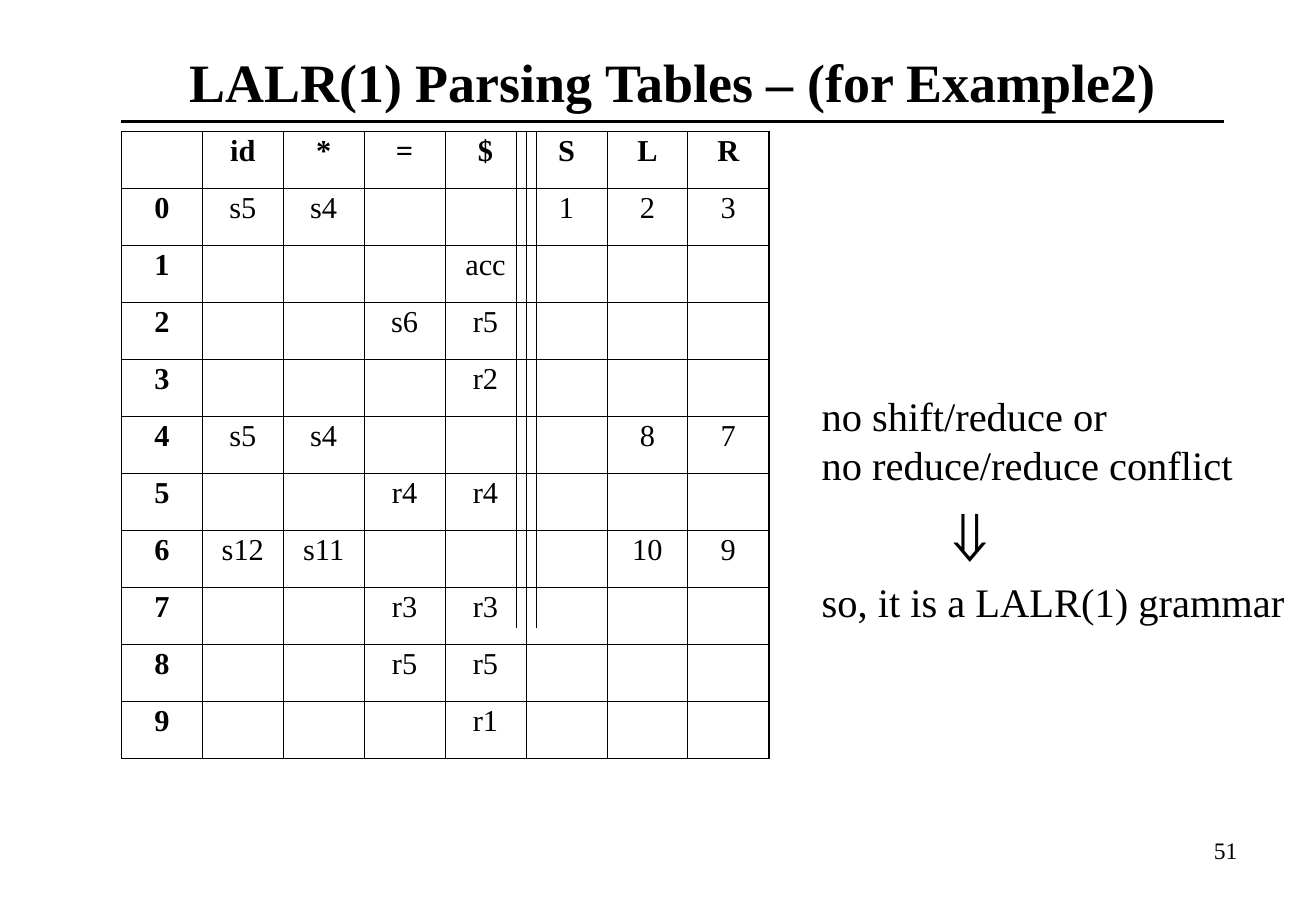
from lxml import etree
from pptx import Presentation
from pptx import util as u
from pptx.dml.color import RGBColor
from pptx.enum import shapes, text
from pptx.oxml.ns import qn

BLACK = "000000"
SERIF = "Times New Roman"
ALIGN = text.PP_ALIGN

HEADER = ["", "id", "*", "=", "$", "S", "L", "R"]
# Entries of each state, by column heading
STATES = [
    {"id": "s5", "*": "s4", "S": "1", "L": "2", "R": "3"},
    {"$": "acc"},
    {"=": "s6", "$": "r5"},
    {"$": "r2"},
    {"id": "s5", "*": "s4", "L": "8", "R": "7"},
    {"=": "r4", "$": "r4"},
    {"id": "s12", "*": "s11", "L": "10", "R": "9"},
    {"=": "r3", "$": "r3"},
    {"=": "r5", "$": "r5"},
    {"$": "r1"},
]
COLUMN_WIDTH, ROW_HEIGHT = 48, 33.8
OUTER_LINE, INNER_LINE = 1.08, 0.45


def colour(value):
    return RGBColor.from_string(value)


def write(paragraph, content, size=24, font=SERIF, bold=False, align=ALIGN.LEFT):
    paragraph.alignment = align
    run = paragraph.add_run()
    run.text = content
    run.font.name = font
    run.font.size = u.Pt(size)
    run.font.bold = bold
    run.font.color.rgb = colour(BLACK)


def add_tab_stop(paragraph, position):
    tabs = etree.SubElement(paragraph._p.get_or_add_pPr(), qn("a:tabLst"))
    etree.SubElement(tabs, qn("a:tab"), pos=str(u.Pt(position)), algn="l")


def add_box(slide, left, top, width, height, wrap=True):
    box = slide.shapes.add_textbox(u.Pt(left), u.Pt(top), u.Pt(width), u.Pt(height))
    box.text_frame.word_wrap = wrap
    return box.text_frame


def add_line(slide, start, end, width):
    line = slide.shapes.add_connector(
        shapes.MSO_CONNECTOR.STRAIGHT, *(u.Pt(value) for value in (*start, *end)))
    line.line.color.rgb = colour(BLACK)
    line.line.width = u.Pt(width)
    etree.SubElement(line._element.spPr, qn("a:effectLst"))


def set_borders(cell, widths):
    properties = cell._tc.get_or_add_tcPr()
    for side, width in zip("LRTB", widths):
        border = etree.SubElement(properties, qn(f"a:ln{side}"), w=str(u.Pt(width)))
        fill = etree.SubElement(border, qn("a:solidFill"))
        etree.SubElement(fill, qn("a:srgbClr"), val=BLACK)


def add_parsing_table(slide, left, top):
    rows = [HEADER]
    for number, entries in enumerate(STATES):
        rows.append([str(number)] + [entries.get(symbol, "") for symbol in HEADER[1:]])
    last_row, last_column = len(rows) - 1, len(HEADER) - 1

    frame = slide.shapes.add_table(
        len(rows), len(HEADER), u.Pt(left), u.Pt(top),
        u.Pt(COLUMN_WIDTH * len(HEADER)), u.Pt(ROW_HEIGHT * len(rows)))
    table = frame.table
    table.first_row = table.horz_banding = False
    for column in table.columns:
        column.width = u.Pt(COLUMN_WIDTH)

    for i, row in enumerate(rows):
        table.rows[i].height = u.Pt(ROW_HEIGHT)
        for j, entry in enumerate(row):
            cell = table.cell(i, j)
            edges = (j == 0, j == last_column, i == 0, i == last_row)
            set_borders(cell, [OUTER_LINE if edge else INNER_LINE for edge in edges])
            cell.fill.background()
            if entry:
                paragraph = cell.text_frame.paragraphs[0]
                paragraph.line_spacing = 0.9
                write(paragraph, entry, size=18, bold=i == 0 or j == 0,
                      align=ALIGN.CENTER)


def add_title(slide, content):
    title = slide.shapes.title
    title.left, title.top = u.Pt(30.2), u.Pt(12)
    title.width, title.height = u.Pt(738), u.Pt(72)
    title.text_frame.vertical_anchor = text.MSO_ANCHOR.MIDDLE
    write(title.text_frame.paragraphs[0], content, size=32, bold=True,
          align=ALIGN.CENTER)


def add_conclusion(slide):
    frame = add_box(slide, 480.2, 228.4, 289, 147, wrap=False)
    frame.auto_size = text.MSO_AUTO_SIZE.SHAPE_TO_FIT_TEXT
    write(frame.paragraphs[0], "no shift/reduce or")
    write(frame.add_paragraph(), "no reduce/reduce conflict")
    arrow = frame.add_paragraph()
    add_tab_stop(arrow, 72)
    write(arrow, "\t")
    write(arrow, "⇓", size=44, font="Arial")
    write(frame.add_paragraph(), "so, it is a LALR(1) grammar")


def main():
    presentation = Presentation()
    presentation.slide_width, presentation.slide_height = u.Pt(780.48), u.Pt(540)
    slide = presentation.slides.add_slide(presentation.slide_layouts[5])

    # Title with its rule
    add_title(slide, "LALR(1) Parsing Tables – (for Example2)")
    add_line(slide, (72, 72), (726, 72), 2.25)

    # Parsing table, with a double line between action and goto
    add_parsing_table(slide, 72, 78)
    for x in (306.2, 318.2):
        add_line(slide, (x, 78), (x, 372.2), 0.75)

    # Conclusion and page number
    add_conclusion(slide)
    page = add_box(slide, 559, 492.2, 182, 37)
    write(page.paragraphs[0], "51", size=14, align=ALIGN.RIGHT)

    presentation.save("out.pptx")


if __name__ == "__main__":
    main()
